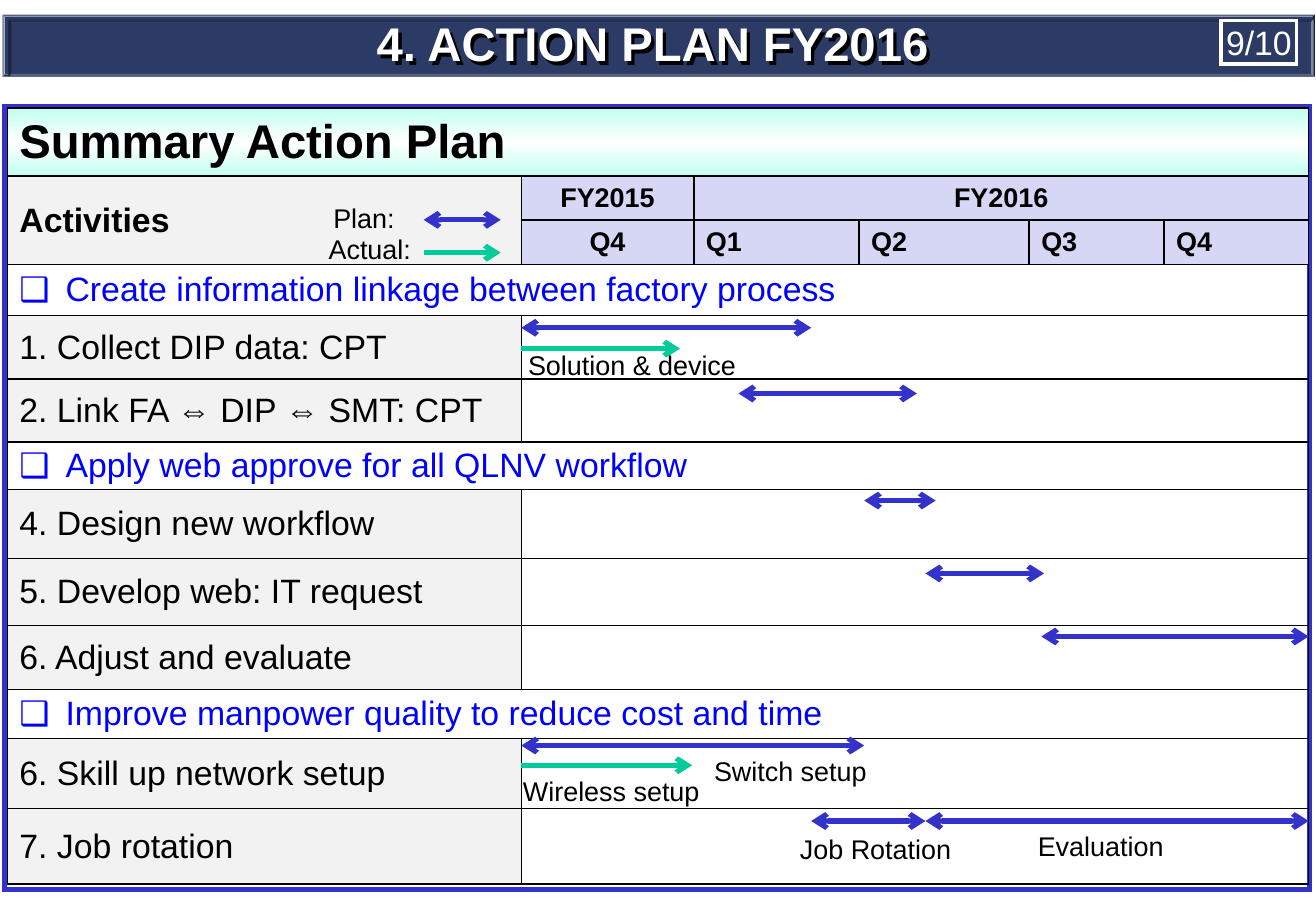
from itertools import accumulate

from lxml import etree
from pptx import Presentation
from pptx import util as u
from pptx.dml.color import RGBColor
from pptx.enum import shapes, text
from pptx.oxml import parse_xml
from pptx.oxml.ns import nsdecls, qn

FONT = "Arial"
BLACK = RGBColor(0x00, 0x00, 0x00)
WHITE = RGBColor(0xFF, 0xFF, 0xFF)
NAVY = RGBColor(0x2C, 0x3B, 0x66)
PLAN = RGBColor(0x33, 0x33, 0xCC)
ACTUAL = RGBColor(0x00, 0xCC, 0x99)
GOAL = RGBColor(0x00, 0x00, 0xFF)
GREY = RGBColor(0xF2, 0xF2, 0xF2)
LILAC = RGBColor(0xD6, 0xD6, 0xF5)
MINT = RGBColor(0xC2, 0xFF, 0xF0)

LEFT, TOP = 0.06, 0.89
COLS = [4.23, 1.42, 1.36, 1.4, 1.11, 1.19]
ROWS = [0.56, 0.36, 0.37, 0.42, 0.52, 0.52, 0.39, 0.57, 0.55, 0.53, 0.4, 0.58, 0.62]
COL_EDGES = list(accumulate(COLS, initial=LEFT))
ROW_EDGES = list(accumulate(ROWS, initial=TOP))

GOALS = {
    3: "Create information linkage between factory process",
    6: "Apply web approve for all QLNV workflow",
    10: "Improve manpower quality to reduce cost and time",
}
ACTIVITIES = {
    4: "1. Collect DIP data: CPT",
    5: "2. Link FA ⇔ DIP ⇔ SMT: CPT",
    7: "4. Design new workflow",
    8: "5. Develop web: IT request",
    9: "6. Adjust and evaluate",
    11: "6. Skill up network setup",
    12: "7. Job rotation",
}
# Start column, end column, row; the decimals are shares of that column or row
PLAN_ARROWS = [
    (0.81, 0.96, 2.0), (1, 2.71, 4.19), (2.27, 3.34, 5.23), (3.03, 3.45, 7.16),
    (3.39, 4.11, 8.22), (4.09, 6, 9.17), (1, 3.03, 11.1), (2.71, 3.39, 12.16),
    (3.39, 6, 12.16),
]
ACTUAL_ARROWS = [(0.81, 0.96, 2.73), (1, 1.92, 4.52), (1, 1.99, 11.38)]
# Text, column, row, width in inches
LEGEND = [("Plan:", 0.61, 1.44, 0.71), ("Actual:", 0.6, 2.14, 0.89)]
NOTES = [
    ("Solution & device", 0.99, 4.42, 2.06), ("Wireless setup", 0.98, 11.43, 2.06),
    ("Switch setup", 2.05, 11.14, 2.06), ("Job Rotation", 2.57, 12.23, 1.61),
    ("Evaluation", 3.98, 12.19, 2.22),
]


def along(edges, place):
    """Length at a grid place such as 2.5, the middle of the third band."""
    i = min(int(place), len(edges) - 2)
    return u.Inches(edges[i] + (place - i) * (edges[i + 1] - edges[i]))


def add_run(p, words, size, color=BLACK, bold=False):
    r = p.add_run()
    r.text = words
    r.font.name, r.font.size, r.font.bold = FONT, u.Pt(size), bold
    r.font.color.rgb = color


def set_margins(tf, side, end):
    tf.margin_left = tf.margin_right = u.Inches(side)
    tf.margin_top = tf.margin_bottom = u.Inches(end)


def add_box(s, kind, box, fill=None, line=None, weight=1):
    sp = s.shapes.add_shape(kind, *map(u.Inches, box))
    sp.shadow.inherit = False
    if fill is None:
        sp.fill.background()
    else:
        sp.fill.solid()
        sp.fill.fore_color.rgb = fill
    if line is None:
        sp.line.fill.background()
    else:
        sp.line.color.rgb = line
        sp.line.width = u.Pt(weight)
        etree.SubElement(sp.line._get_or_add_ln(), qn("a:miter"), lim="800000")
    return sp


def add_arrow(s, start, end, row, color, both_ends):
    y = along(ROW_EDGES, row)
    line = s.shapes.add_connector(shapes.MSO_CONNECTOR.STRAIGHT,
                                  along(COL_EDGES, start), y, along(COL_EDGES, end), y)
    line.line.color.rgb = color
    line.line.width = u.Pt(3)
    ln = line.line._get_or_add_ln()
    for tag in ["a:headEnd", "a:tailEnd"] if both_ends else ["a:tailEnd"]:
        etree.SubElement(ln, qn(tag), type="arrow")
    etree.SubElement(line._element.spPr, qn("a:effectLst"))


def add_label(s, words, col, row, width, legend=False):
    box = s.shapes.add_textbox(along(COL_EDGES, col), along(ROW_EDGES, row),
                               u.Inches(width), u.Inches(0.37))
    tf = box.text_frame
    tf.word_wrap = not legend
    p = tf.paragraphs[0]
    p.alignment = text.PP_ALIGN.CENTER if legend else text.PP_ALIGN.LEFT
    add_run(p, words, 16)


def add_borders(cell):
    tc_pr = cell._tc.get_or_add_tcPr()
    for side in ("lnL", "lnR", "lnT", "lnB"):
        tc_pr.append(parse_xml(
            f'<a:{side} {nsdecls("a")} w="12700"><a:solidFill>'
            f'<a:srgbClr val="{BLACK}"/></a:solidFill></a:{side}>'))


def add_gradient(cell):
    stops = "".join(f'<a:gs pos="{pos}"><a:srgbClr val="{color}"/></a:gs>' for pos, color
                    in [(0, MINT), (50000, WHITE), (100000, MINT)])
    cell._tc.get_or_add_tcPr().append(parse_xml(
        f'<a:gradFill {nsdecls("a")}><a:gsLst>{stops}</a:gsLst>'
        '<a:lin ang="5400000" scaled="0"/></a:gradFill>'))


def write_cell(cell, words, size=20, color=BLACK, bold=False, fill=None, center=False):
    if fill is not None:
        cell.fill.solid()
        cell.fill.fore_color.rgb = fill
    p = cell.text_frame.paragraphs[0]
    if center:
        p.alignment = text.PP_ALIGN.CENTER
    add_run(p, words, size, color, bold)
    return p


def add_bullet(p):
    p_pr = p._p.get_or_add_pPr()
    p_pr.set("marL", str(u.Inches(0.38)))
    p_pr.set("indent", str(-u.Inches(0.38)))
    etree.SubElement(p_pr, qn("a:buFont"), typeface=FONT)
    etree.SubElement(p_pr, qn("a:buChar"), char="❑")


def add_plan_table(s):
    frame = s.shapes.add_table(len(ROWS), len(COLS), u.Inches(LEFT), u.Inches(TOP),
                               u.Inches(sum(COLS)), u.Inches(sum(ROWS)))
    table = frame.table
    table.first_row = table.horz_banding = False
    for col, width in zip(table.columns, COLS):
        col.width = u.Inches(width)
    for row, height in zip(table.rows, ROWS):
        row.height = u.Inches(height)

    last = len(COLS) - 1
    spans = [(0, 0, 0, last), (1, 0, 2, 0), (1, 2, 1, last)]
    spans += [(row, 0, row, last) for row in GOALS]
    spans += [(row, 1, row, last) for row in ACTIVITIES]
    for top, left, bottom, right in spans:
        table.cell(top, left).merge(table.cell(bottom, right))

    title = table.cell(0, 0)
    for cell in table.iter_cells():
        set_margins(cell, 0.1, 0)
        cell.vertical_anchor = text.MSO_ANCHOR.MIDDLE
        add_borders(cell)
        if cell == title:
            add_gradient(cell)
        else:
            cell.fill.background()

    write_cell(title, "Summary Action Plan", 28, bold=True)
    write_cell(table.cell(1, 0), "Activities", bold=True, fill=GREY)
    heads = [(1, 1, "FY2015"), (1, 2, "FY2016"), (2, 1, "Q4"), (2, 2, "Q1"),
             (2, 3, "Q2"), (2, 4, "Q3"), (2, 5, "Q4")]
    for row, col, words in heads:
        write_cell(table.cell(row, col), words, 16, bold=True, fill=LILAC,
                   center=row == 1 or col == 1)
    for row, words in GOALS.items():
        add_bullet(write_cell(table.cell(row, 0), words, color=GOAL))
    for row, words in ACTIVITIES.items():
        write_cell(table.cell(row, 0), words, fill=GREY)


def add_banner(s):
    outer = add_box(s, shapes.MSO_SHAPE.BEVEL, (0.02, 0.12, 10.8, 0.51), NAVY)
    outer.adjustments[0] = 0.035
    inner = add_box(s, shapes.MSO_SHAPE.BEVEL, (0.07, 0.16, 10.74, 0.47), NAVY)
    inner.adjustments[0] = 0.045
    inner.rotation = 180

    title = s.shapes.add_textbox(*map(u.Inches, (0.3, 0.12, 10.14, 0.47)))
    title._element.spPr.append(parse_xml(
        f'<a:effectLst {nsdecls("a")}><a:outerShdw dist="35921" dir="2700000">'
        f'<a:srgbClr val="{BLACK}"/></a:outerShdw></a:effectLst>'))
    page = add_box(s, shapes.MSO_SHAPE.RECTANGLE, (10.05, 0.17, 0.62, 0.36),
                   line=WHITE, weight=2.25)
    for sp, words, size, bold, margins in [(title, "4. ACTION PLAN FY2016", 28, True, (0, 0)),
                                           (page, "9/10", 20, False, (0.02, 0.05))]:
        tf = sp.text_frame
        tf.word_wrap = True
        tf.vertical_anchor = text.MSO_ANCHOR.MIDDLE
        set_margins(tf, *margins)
        tf.paragraphs[0].alignment = text.PP_ALIGN.CENTER
        add_run(tf.paragraphs[0], words, size, WHITE, bold)


def main():
    prs = Presentation()
    prs.slide_width, prs.slide_height = u.Inches(10.83), u.Inches(7.5)
    s = prs.slides.add_slide(prs.slide_layouts[6])
    add_box(s, shapes.MSO_SHAPE.RECTANGLE, (0.04, 0.88, 10.74, 6.44), line=PLAN, weight=3)
    add_plan_table(s)
    for arrow in PLAN_ARROWS:
        add_arrow(s, *arrow, PLAN, both_ends=True)
    for arrow in ACTUAL_ARROWS:
        add_arrow(s, *arrow, ACTUAL, both_ends=False)
    for label in LEGEND:
        add_label(s, *label, legend=True)
    for label in NOTES:
        add_label(s, *label)
    add_banner(s)
    prs.save("out.pptx")


if __name__ == "__main__":
    main()
